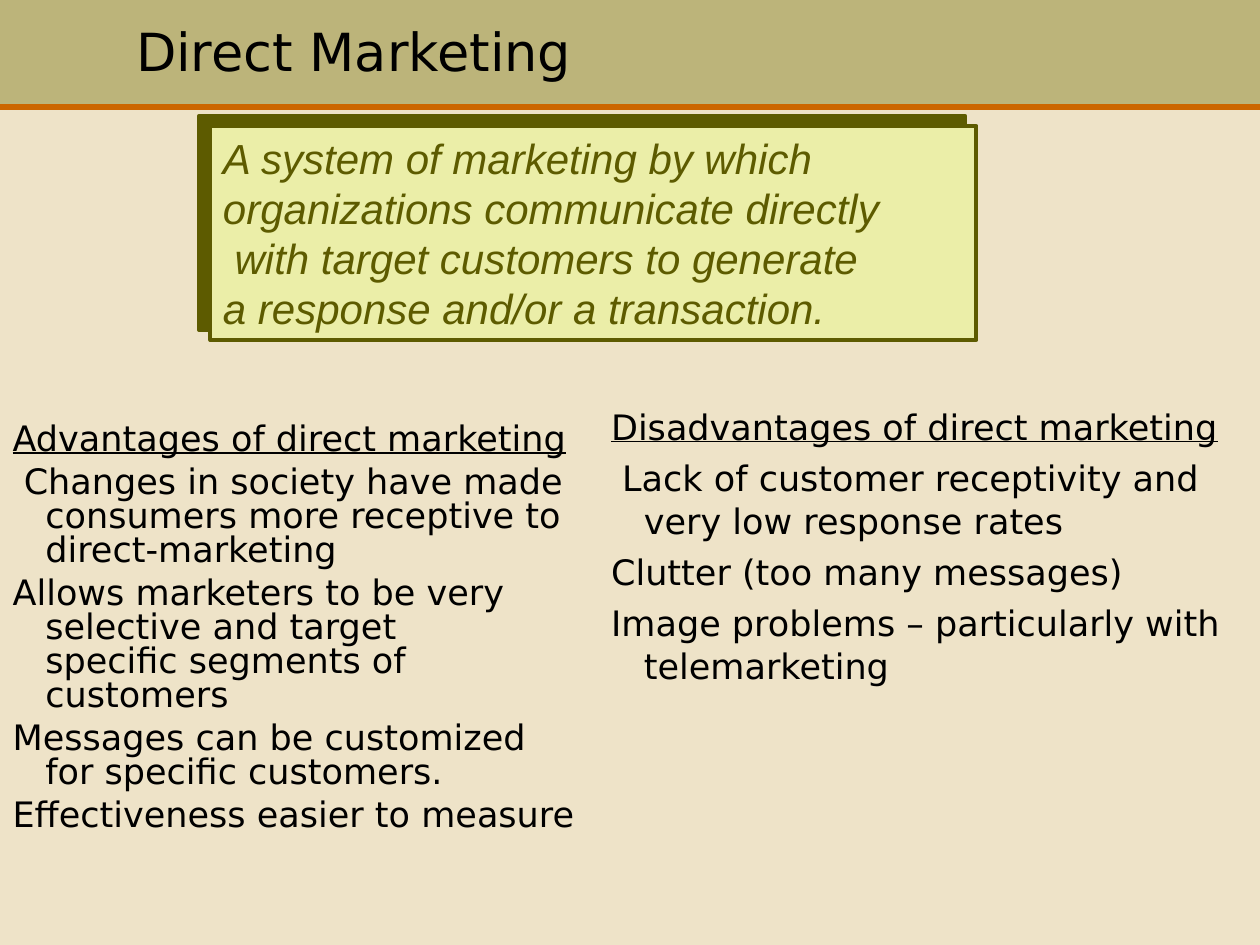
"""Build the Direct Marketing slide with its definition panel and two lists."""
from dataclasses import dataclass

import pptx
import pptx.dml.color
import pptx.enum.shapes
import pptx.enum.text
import pptx.oxml
import pptx.oxml.ns
import pptx.util

Inches = pptx.util.Inches
Pt = pptx.util.Pt
RGBColor = pptx.dml.color.RGBColor

CREAM = RGBColor(0xEE, 0xE3, 0xC8)
KHAKI = RGBColor(0xBC, 0xB4, 0x7A)
ORANGE = RGBColor(0xCC, 0x66, 0x00)
OLIVE = RGBColor(0x5D, 0x5B, 0x00)
LIME = RGBColor(0xEB, 0xEE, 0xA8)
BLACK = RGBColor(0, 0, 0)
HEADER_HEIGHT = 0.85


@dataclass(frozen=True)
class Panel:
    left: float
    top: float
    fill: RGBColor


@dataclass(frozen=True)
class Column:
    left: float
    top: float
    width: float
    height: float
    pitch: float
    gap: float
    heading: str
    points: tuple[str, ...]


PANELS = (Panel(1.58, 0.92, OLIVE), Panel(1.67, 1, LIME))
COLUMNS = (
    Column(4.84, 3.2, 4.94, 2.25, 24.5, 4.7, "Disadvantages of direct marketing", (
        " Lack of customer receptivity and very low response rates",
        "Clutter (too many messages)",
        "Image problems – particularly with telemarketing",
    )),
    Column(0.09, 3.36, 4.55, 3, 19.5, 4.9, "Advantages of direct marketing", (
        " Changes in society have made consumers more receptive to\vdirect-marketing",
        "Allows marketers to be very\vselective and target\vspecific segments of\vcustomers",
        "Messages can be customized\vfor specific customers.",
        "Effectiveness easier to measure",
    )),
)
DEFINITION = (
    "A system of marketing by which\vorganizations communicate directly\v"
    " with target customers to generate\va response and/or a transaction."
)


def prepare_frame(shape, left: float, top: float, width: float, height: float, wrap: bool = True):
    """Place a text shape, strip its margins and return its text frame."""
    shape.left, shape.top = Inches(left), Inches(top)
    shape.width, shape.height = Inches(width), Inches(height)
    frame = shape.text_frame
    frame.margin_left = frame.margin_right = frame.margin_bottom = 0
    frame.margin_top = Inches(0.01)
    frame.vertical_anchor = pptx.enum.text.MSO_ANCHOR.TOP
    frame.auto_size = pptx.enum.text.MSO_AUTO_SIZE.NONE
    frame.word_wrap = wrap
    return frame


def write_text(paragraph, text: str, *, size: float, font: str = "DejaVu Sans",
               color: RGBColor = BLACK, italic: bool = False, underline: bool = False,
               margin: float = 0.01, indent: float = 0, before: float = 0,
               pitch: float | None = None) -> None:
    """Fill a paragraph with formatted text, breaking lines at vertical tabs."""
    paragraph.alignment = pptx.enum.text.PP_ALIGN.LEFT
    paragraph.space_before = Pt(before)
    paragraph.line_spacing = 1.0 if pitch is None else Pt(pitch)
    properties = paragraph._p.get_or_add_pPr()
    properties.set("marL", str(Inches(margin)))
    properties.set("indent", str(Inches(indent)))
    for index, line in enumerate(text.split("\v")):
        if index:
            paragraph.add_line_break()
        run = paragraph.add_run()
        run.text = line
        run.font.name = font
        run.font.size = Pt(size)
        run.font.color.rgb = color
        run.font.italic = italic
        run.font.underline = underline


def add_rectangle(slide, left: float, top: float, width: float, height: float,
                  fill: RGBColor, outline: RGBColor | None = None) -> None:
    """Add a flat rectangle, outlined when a colour is given."""
    shape = slide.shapes.add_shape(
        pptx.enum.shapes.MSO_SHAPE.RECTANGLE,
        Inches(left), Inches(top), Inches(width), Inches(height))
    shape.shadow.inherit = False
    shape.fill.solid()
    shape.fill.fore_color.rgb = fill
    if outline is None:
        shape.line.fill.background()
    else:
        shape.line.color.rgb = outline
        shape.line.width = Pt(2.25)


def add_header(slide) -> None:
    """Draw the header band, its rule and the title."""
    add_rectangle(slide, 0, 0, 10, HEADER_HEIGHT, KHAKI)
    rule = slide.shapes.add_connector(
        pptx.enum.shapes.MSO_CONNECTOR.STRAIGHT,
        0, Inches(HEADER_HEIGHT), Inches(10), Inches(HEADER_HEIGHT))
    rule.line.color.rgb = ORANGE
    rule.line.width = Pt(3)
    properties = rule.element.find(pptx.oxml.ns.qn("p:spPr"))
    properties.append(pptx.oxml.parse_xml(
        f"<a:effectLst {pptx.oxml.ns.nsdecls('a')}/>"))
    title = slide.shapes.title
    frame = prepare_frame(title, 1.07, 0.14, 3.5, 0.53, wrap=False)
    write_text(frame.paragraphs[0], "Direct Marketing", size=30, before=1)
    title.element.getparent().append(title.element)


def add_definition(slide) -> None:
    """Draw the offset panels and the definition on top of them."""
    for panel in PANELS:
        add_rectangle(slide, panel.left, panel.top, 6.08, 1.7, panel.fill, OLIVE)
    frame = prepare_frame(slide.shapes.add_textbox(0, 0, 0, 0), 1.67, 1.04, 6.1, 1.63)
    write_text(frame.paragraphs[0], DEFINITION, size=24, font="Arial", color=OLIVE,
               italic=True, margin=0.1, before=1, pitch=28.7)


def add_column(slide, column: Column) -> None:
    """Write an underlined heading followed by its hanging points."""
    frame = prepare_frame(slide.shapes.add_textbox(0, 0, 0, 0),
                          column.left, column.top, column.width, column.height)
    write_text(frame.paragraphs[0], column.heading, size=20, underline=True, pitch=column.pitch)
    for point in column.points:
        write_text(frame.add_paragraph(), point, size=20, margin=0.27, indent=-0.26,
                   before=column.gap, pitch=column.pitch)


def main() -> None:
    """Assemble and save the presentation."""
    presentation = pptx.Presentation()
    presentation.slide_width, presentation.slide_height = Inches(10), Inches(7.5)
    slide = presentation.slides.add_slide(presentation.slide_layouts.get_by_name("Title Only"))
    slide.background.fill.solid()
    slide.background.fill.fore_color.rgb = CREAM
    add_header(slide)
    add_definition(slide)
    for column in COLUMNS:
        add_column(slide, column)
    presentation.save("out.pptx")


main()
